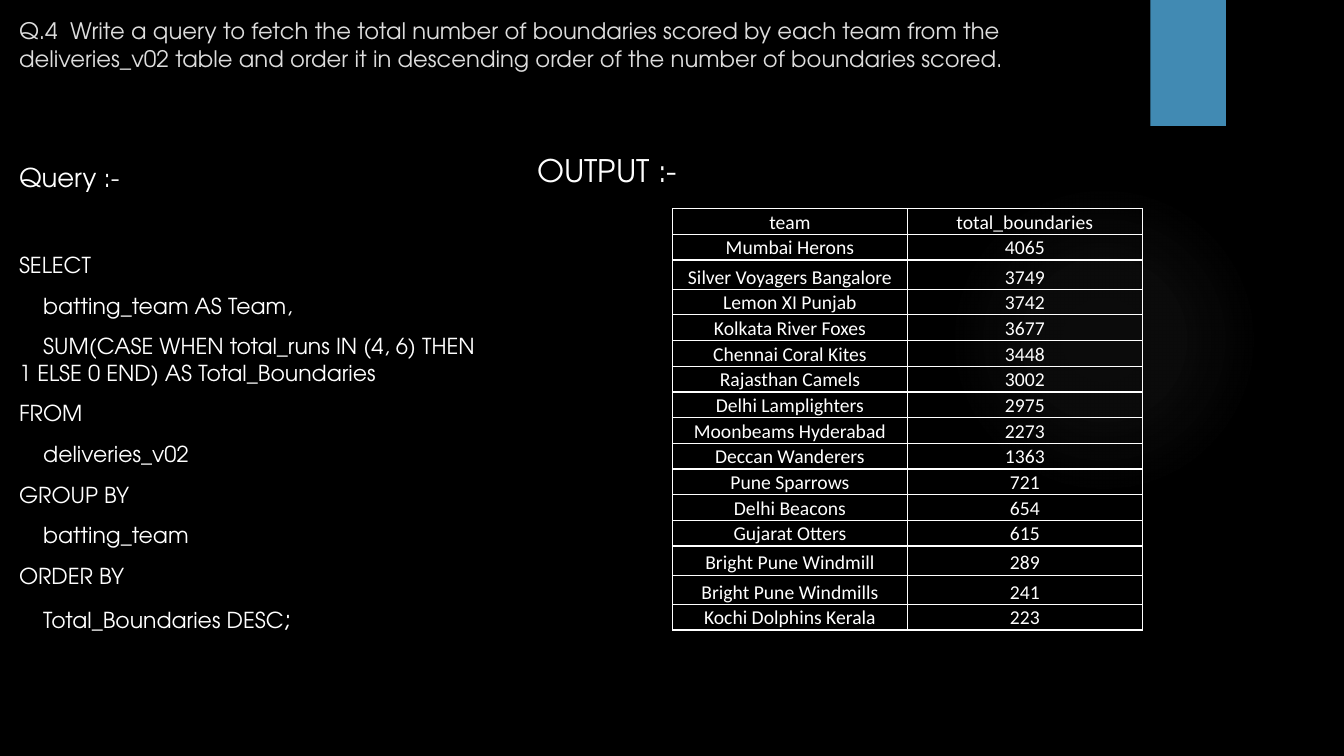
from lxml.etree import SubElement
from pptx import Presentation
from pptx.dml.color import RGBColor
from pptx.enum.shapes import MSO_SHAPE
from pptx.enum.text import MSO_ANCHOR, PP_ALIGN
from pptx.oxml import parse_xml
from pptx.oxml.ns import nsdecls, qn
from pptx.util import Inches, Pt

COLORS = {"background": "000000", "accent": "418AB3", "glow": "9E9E9E",
          "title": "DDDDDD", "text": "FFFFFF"}
HEADING_FONT, TABLE_FONT = "TeX Gyre Adventor", "Calibri"
LINE_HEIGHT = 1.21

QUESTION = ("Q.4  Write a query to fetch the total number of boundaries scored by each team "
            "from the deliveries_v02 table and order it in descending order of the number "
            "of boundaries scored.")
# Each query line: text, indented or not
QUERY = [
    ("SELECT", False),
    ("batting_team AS Team,", True),
    ("SUM(CASE WHEN total_runs IN (4, 6) THEN 1 ELSE 0 END) AS Total_Boundaries", True),
    ("FROM", False),
    ("deliveries_v02", True),
    ("GROUP BY", False),
    ("batting_team", True),
    ("ORDER BY", False),
]
BOUNDARIES = [
    ("team", "total_boundaries"),
    ("Mumbai Herons", 4065),
    ("Silver Voyagers Bangalore", 3749),
    ("Lemon XI Punjab", 3742),
    ("Kolkata River Foxes", 3677),
    ("Chennai Coral Kites", 3448),
    ("Rajasthan Camels", 3002),
    ("Delhi Lamplighters", 2975),
    ("Moonbeams Hyderabad", 2273),
    ("Deccan Wanderers", 1363),
    ("Pune Sparrows", 721),
    ("Delhi Beacons", 654),
    ("Gujarat Otters", 615),
    ("Bright Pune Windmill", 289),
    ("Bright Pune Windmills", 241),
    ("Kochi Dolphins Kerala", 223),
]
TALL_ROWS = {2, 13, 14}


def rgb(name):
    return RGBColor.from_string(COLORS[name])


def write(paragraph, text, size, font=HEADING_FONT, color="text", align=PP_ALIGN.LEFT,
          before=0, indent=0, line=None):
    """Add a formatted run, and set the format of its paragraph."""
    run = paragraph.add_run()
    run.text = text
    run.font.size, run.font.name = Pt(size), font
    run.font.color.rgb = rgb(color)
    paragraph.alignment = align
    paragraph.space_before = Pt(before)
    if line:
        paragraph.line_spacing = Pt(line)
    if indent:
        paragraph._p.get_or_add_pPr().set("indent", str(Inches(indent)))


class SlideBuilder:
    def __init__(self, slide):
        self.slide = slide
        slide.background.fill.solid()
        slide.background.fill.fore_color.rgb = rgb("background")

    def shape(self, kind, left, top, width, height, color):
        shape = self.slide.shapes.add_shape(
            kind, Inches(left), Inches(top), Inches(width), Inches(height))
        shape.shadow.inherit = False
        shape.line.fill.background()
        shape.fill.solid()
        shape.fill.fore_color.rgb = rgb(color)
        return shape

    def glow(self, left, top, size, stops):
        ellipse = self.shape(MSO_SHAPE.OVAL, left, top, size, size, "glow")
        stop_xml = "".join(
            f'<a:gs pos="{pos * 1000}"><a:srgbClr val="{COLORS["glow"]}">'
            f'<a:alpha val="{alpha * 1000}"/></a:srgbClr></a:gs>' for pos, alpha in stops)
        gradient = parse_xml(
            f'<a:gradFill {nsdecls("a")} rotWithShape="1"><a:gsLst>{stop_xml}</a:gsLst>'
            '<a:path path="circle"><a:fillToRect l="50000" t="50000" r="50000" b="50000"/>'
            '</a:path></a:gradFill>')
        properties = ellipse._element.spPr
        properties.replace(properties.find(qn("a:solidFill")), gradient)

    def text_box(self, left, top, width, height):
        frame = self.slide.shapes.add_textbox(
            Inches(left), Inches(top), Inches(width), Inches(height)).text_frame
        frame.word_wrap = True
        return frame

    def heading(self, text, left, top, width, height, size, color="text"):
        frame = self.text_box(left, top, width, height)
        write(frame.paragraphs[0], text, size, color=color, line=size * LINE_HEIGHT)
        return frame

    def table(self, rows, left, top, column_width, row_heights):
        columns = len(rows[0])
        table = self.slide.shapes.add_table(
            len(rows), columns, Inches(left), Inches(top),
            Inches(column_width * columns), Inches(sum(row_heights))).table
        table.first_row = table.horz_banding = False
        for column in table.columns:
            column.width = Inches(column_width)
        for r, values in enumerate(rows):
            table.rows[r].height = Inches(row_heights[r])
            for c, value in enumerate(values):
                self.cell(table.cell(r, c), str(value))

    def cell(self, cell, text):
        cell.vertical_anchor = MSO_ANCHOR.BOTTOM
        cell.margin_left = cell.margin_right = cell.margin_top = Inches(0.01)
        cell.margin_bottom = 0
        write(cell.text_frame.paragraphs[0], text, 14, font=TABLE_FONT,
              align=PP_ALIGN.CENTER)
        properties = cell._tc.get_or_add_tcPr()
        for side in ("a:lnL", "a:lnR", "a:lnT", "a:lnB"):
            border = SubElement(properties, qn(side), w=str(Pt(1)))
            fill = SubElement(border, qn("a:solidFill"))
            SubElement(fill, qn("a:srgbClr"), val=COLORS["text"])
        cell.fill.background()


def main():
    deck = Presentation()
    deck.slide_width, deck.slide_height = Inches(13.33), Inches(7.5)
    builder = SlideBuilder(deck.slides.add_slide(deck.slide_layouts[6]))

    # Backdrop
    builder.glow(9.41, 1.83, 3.08, [(0, 7), (36, 6), (69, 0)])
    builder.shape(MSO_SHAPE.RECTANGLE, 11.41, 0, 0.75, 1.25, "accent")

    # Question
    builder.heading(QUESTION, 0.09, 0.12, 10.29, 0.73, 16.2, color="title")

    # Query
    query = builder.heading("Query :-", 0.09, 1.55, 4.81, 4.59, 18.5)
    for number, (text, indented) in enumerate(QUERY):
        write(query.add_paragraph(), text, 15.7, before=10 if number else 42,
              indent=0.24 if indented else 0, line=15.7 * LINE_HEIGHT)
    ordering = query.add_paragraph()
    for text, size in (("Total_Boundaries DESC", 15.7), (";", 18.5)):
        write(ordering, text, size, before=10, indent=0.24, line=18.5 * LINE_HEIGHT)

    # Output
    builder.heading("OUTPUT :-", 5.23, 1.45, 6.84, 0.5, 22.2)
    heights = [0.29 if r in TALL_ROWS else 0.255 for r in range(len(BOUNDARIES))]
    builder.table(BOUNDARIES, 6.67, 2.07, 2.33, heights)

    deck.save("out.pptx")


if __name__ == "__main__":
    main()
